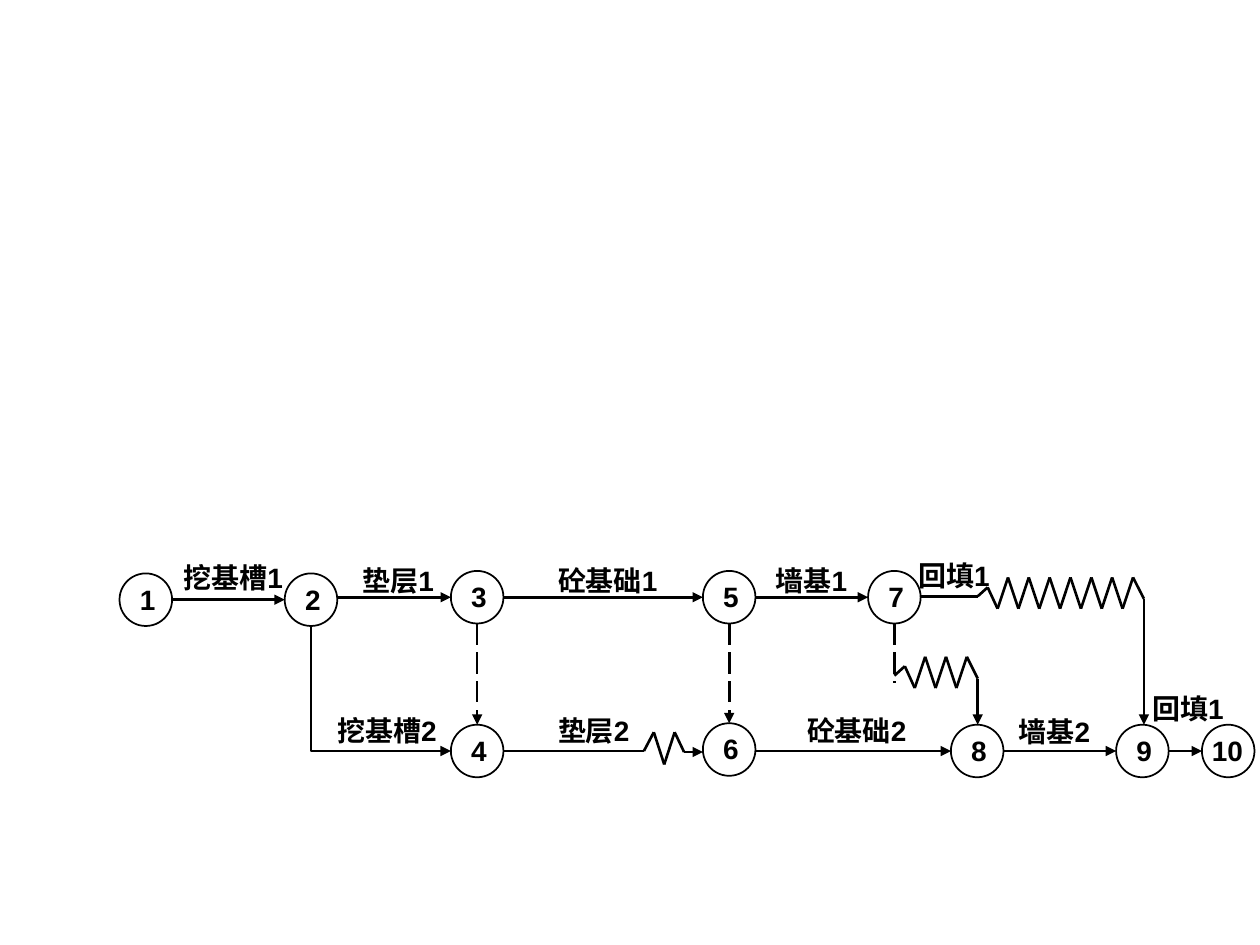
import itertools

import pptx
import pptx.dml.color
import pptx.enum.dml
import pptx.enum.shapes
import pptx.enum.text
import pptx.oxml
import pptx.oxml.ns
import pptx.util

Cm = pptx.util.Cm
BLACK = "000000"
DIAMETER = 1.06
TOOTH = 0.21

# Circle positions, in cm from the corner of the network
NODES = {
    1: (0, 0.43), 2: (3.33, 0.43), 3: (6.68, 0.38), 4: (6.68, 3.48),
    5: (11.76, 0.38), 6: (11.76, 3.45), 7: (15.09, 0.38),
    8: (16.76, 3.48), 9: (20.09, 3.48), 10: (21.82, 3.48),
}
ACTIVITIES = [(1, 2), (2, 3), (3, 5), (5, 7), (6, 8), (8, 9), (9, 10)]
DUMMIES = [(3, 4), (5, 6)]
# Text, left, top, width
LABELS = [
    ("挖基槽1", 1.04, 0.05, 2.54), ("挖基槽2", 4.14, 3.12, 2.54),
    ("垫层1", 4.65, 0.1, 2.54), ("垫层2", 8.59, 3.12, 2.54),
    ("砼基础1", 8.59, 0.1, 2.54), ("砼基础2", 13.61, 3.12, 2.54),
    ("墙基1", 12.98, 0.1, 2.54), ("墙基2", 17.88, 3.15, 2.54),
    ("回填1", 15.85, 0, 2.54), ("回填1", 20.57, 2.69, 2.41),
]


def color(value):
    return pptx.dml.color.RGBColor.from_string(value)


def add_text(slide, text, left, top, width, height=0.94, size=16, bold=True):
    box = slide.shapes.add_textbox(Cm(left), Cm(top), Cm(width), Cm(height))
    frame = box.text_frame
    frame.word_wrap = True
    frame.auto_size = pptx.enum.text.MSO_AUTO_SIZE.SHAPE_TO_FIT_TEXT
    run = frame.paragraphs[0].add_run()
    run.text = text
    run.font.name = "Arial"
    run.font.size = pptx.util.Pt(size)
    run.font.bold = bold
    run.font.color.rgb = color(BLACK)


def add_line(slide, start, end, arrow=False, dashed=False, elbow=False):
    kinds = pptx.enum.shapes.MSO_CONNECTOR
    connector = slide.shapes.add_connector(
        kinds.ELBOW if elbow else kinds.STRAIGHT,
        Cm(start[0]), Cm(start[1]), Cm(end[0]), Cm(end[1]))
    connector.line.color.rgb = color(BLACK)
    connector.line.width = pptx.util.Pt(1.5)
    if dashed:
        connector.line.dash_style = pptx.enum.dml.MSO_LINE.LONG_DASH
    properties = connector._element.spPr
    if arrow:
        head = pptx.oxml.parse_xml(
            f'<a:tailEnd {pptx.oxml.ns.nsdecls("a")} type="triangle"/>')
        connector.line._get_or_add_ln().append(head)
    properties.append(pptx.oxml.parse_xml(
        f'<a:effectLst {pptx.oxml.ns.nsdecls("a")}/>'))
    return connector


def add_down_right_arrow(slide, start, end):
    """One-bend arrow: a two-part elbow, mirrored and turned by 270 degrees."""
    middle_x, middle_y = (start[0] + end[0]) / 2, (start[1] + end[1]) / 2
    half_width, half_height = (end[1] - start[1]) / 2, (end[0] - start[0]) / 2
    connector = add_line(
        slide, (middle_x + half_width, middle_y - half_height),
        (middle_x - half_width, middle_y + half_height), arrow=True, elbow=True)
    properties = connector._element.spPr
    properties.find(pptx.oxml.ns.qn("a:xfrm")).set("rot", "16200000")
    properties.find(pptx.oxml.ns.qn("a:prstGeom")).set("prst", "bentConnector2")


def add_chain(slide, points):
    """Joined segments, the last one with an arrowhead."""
    segments = list(itertools.pairwise(points))
    for segment in segments:
        add_line(slide, *segment, arrow=segment is segments[-1])


def teeth(left, count, first, second):
    return [(left + TOOTH * index, second if index % 2 else first)
            for index in range(count)]


def add_node(slide, number, left, top):
    circle = slide.shapes.add_shape(pptx.enum.shapes.MSO_SHAPE.OVAL, Cm(left),
                                    Cm(top), Cm(DIAMETER), Cm(DIAMETER))
    circle.shadow.inherit = False
    circle.fill.background()
    circle.line.color.rgb = color(BLACK)
    circle.line.width = pptx.util.Pt(1)
    inset, width = (0.16, 0.84) if number < 10 else (-0.05, 1.22)
    add_text(slide, str(number), left + inset, top + 0.05, width)


def add_network(slide, left, top):
    def place(points):
        return [(left + x, top + y) for x, y in points]

    def side(number, across, down):
        x, y = NODES[number]
        return left + x + across * DIAMETER, top + y + down * DIAMETER

    # Activities and dummy activities between circles
    for first, second in ACTIVITIES:
        end = side(second, 0, 0.5)
        add_line(slide, (side(first, 1, 0.5)[0], end[1]), end, arrow=True)
    for first, second in DUMMIES:
        add_line(slide, side(first, 0.5, 1), side(second, 0.5, 0),
                 arrow=True, dashed=True)
    add_down_right_arrow(slide, side(2, 0.5, 1), side(4, 0, 0.5))
    add_line(slide, *place([(15.62, 1.44), (15.62, 2.64)]), dashed=True)

    # Float shown as zigzags: 4 to 6, 7 to 8, 7 to 9
    for points in (
        [(7.74, 4.01), (10.57, 4.01), *teeth(10.77, 3, 3.63, 4.28),
         (11.38, 4.03), (11.76, 4.03)],
        [(15.62, 2.49), (15.83, 2.3), *teeth(16.03, 6, 2.74, 2.11),
         (17.3, 2.55), (17.3, 3.48)],
        [(16.15, 0.89), (17.3, 0.89), (17.5, 0.71),
         *teeth(17.7, 14, 1.14, 0.51), (20.65, 0.94), (20.65, 3.48)],
    ):
        add_chain(slide, place(points))

    # Numbered circles
    for number, (x, y) in NODES.items():
        add_node(slide, number, left + x, top + y)

    # Activity names; four characters take two lines
    for text, x, y, width in LABELS:
        add_text(slide, text, left + x, top + y, width,
                 height=1.63 if len(text) == 4 else 0.94)


def main():
    presentation = pptx.Presentation()
    presentation.slide_width = Cm(25.4)
    presentation.slide_height = Cm(19.05)
    slide = presentation.slides.add_slide(presentation.slide_layouts[6])
    add_network(slide, left=2.41, top=11.13)
    presentation.save("out.pptx")


if __name__ == "__main__":
    main()
